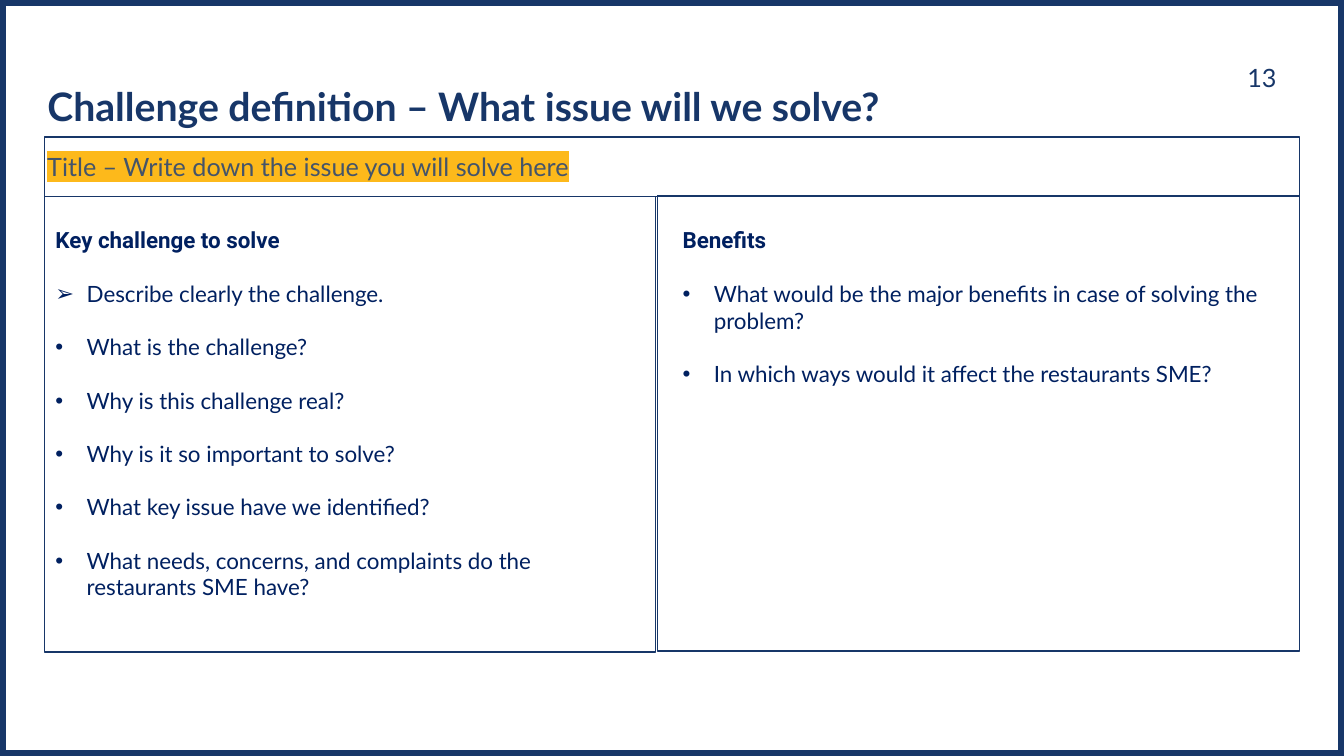
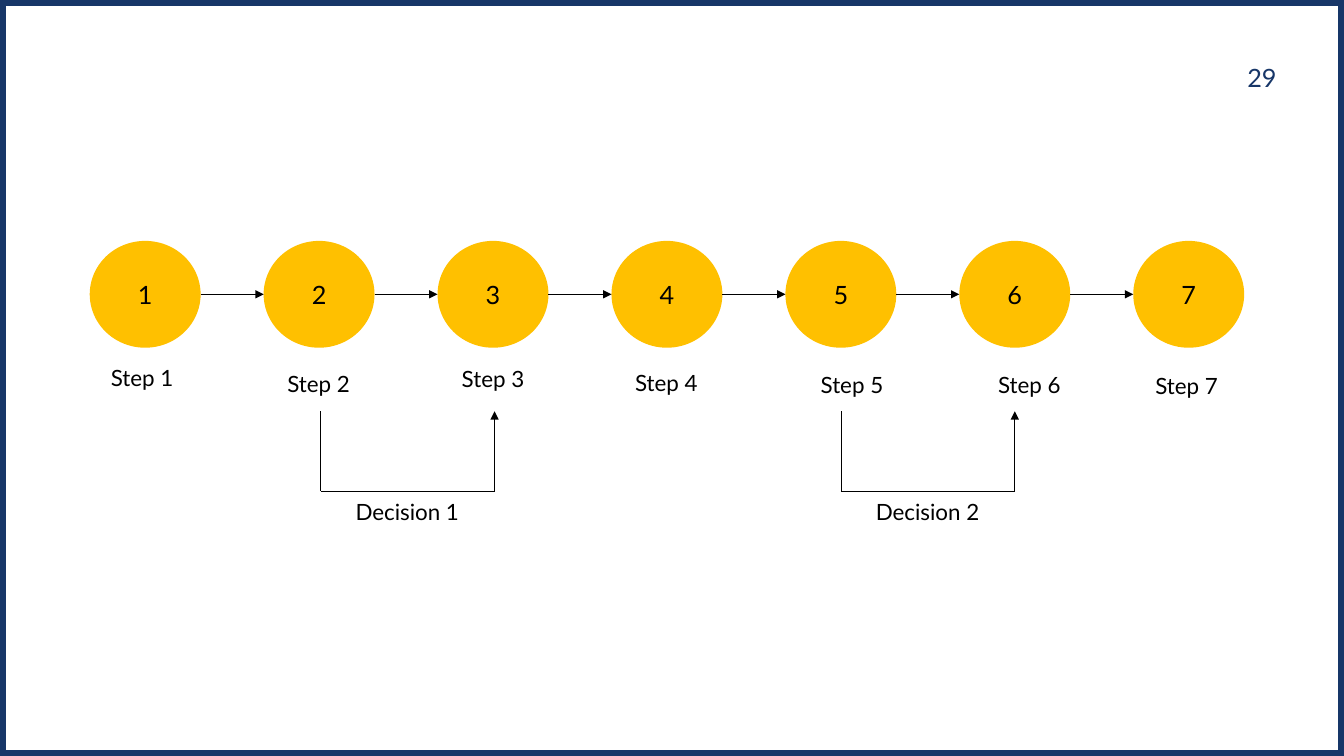
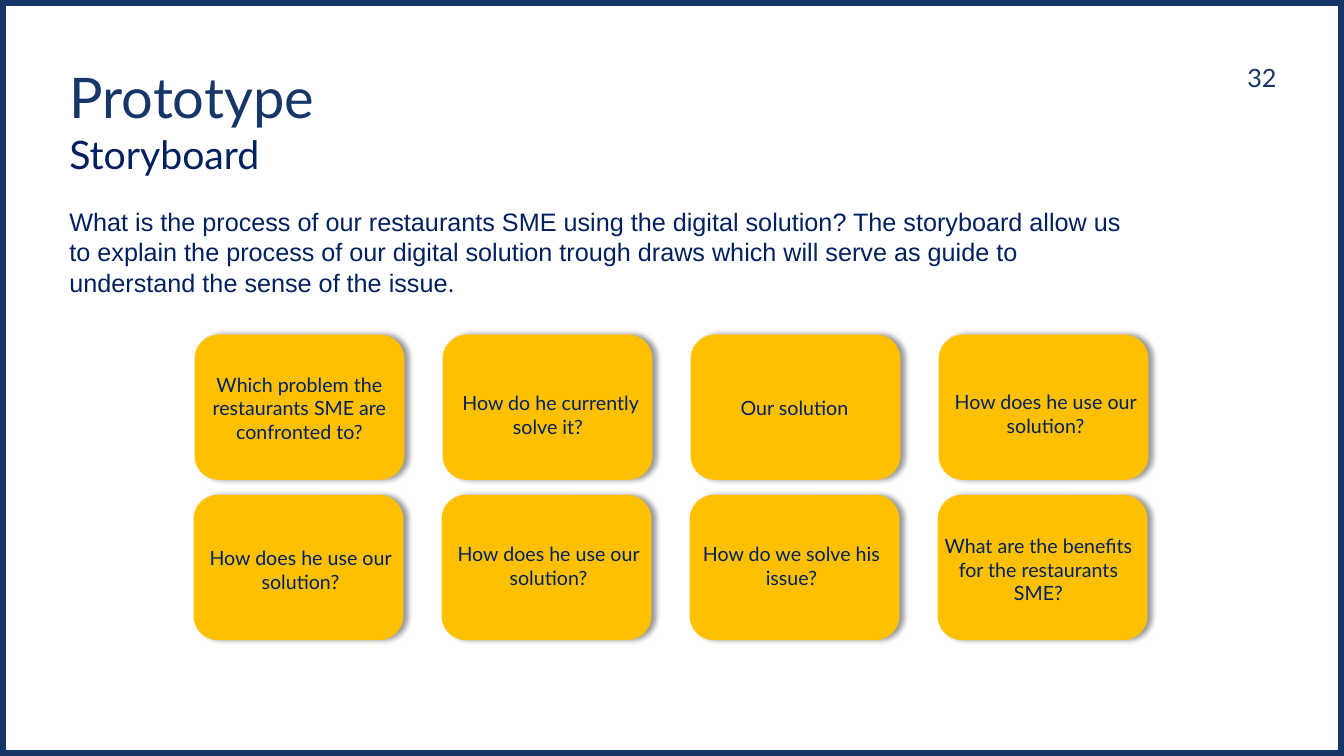
from dataclasses import dataclass
from typing import NamedTuple

from lxml.etree import SubElement
from pptx import Presentation
from pptx.dml.color import RGBColor
from pptx.enum.shapes import MSO_CONNECTOR, MSO_SHAPE
from pptx.enum.text import MSO_ANCHOR, MSO_AUTO_SIZE, PP_ALIGN
from pptx.oxml.ns import qn
from pptx.util import Inches, Pt


@dataclass(frozen=True)
class Theme:
    navy: str = "173668"
    ink: str = "002060"
    slate: str = "44546A"
    gold: str = "FFC000"
    mark: str = "FDB91B"
    black: str = "000000"
    white: str = "FFFFFF"
    sans: str = "Lato"
    head: str = "Roboto"
    plain: str = "Arial"
    huge: int = 40
    large: int = 28
    body: int = 18
    text: int = 16
    small: int = 14
    leading: float = 47.8
    gap: int = 19


THEME = Theme()


class Style(NamedTuple):
    size: int
    color: str
    font: str = THEME.sans
    bold: bool = False
    align: PP_ALIGN = PP_ALIGN.LEFT


class Box(NamedTuple):
    left: float
    top: float
    width: float
    height: float

    def inches(self):
        return [Inches(side) for side in self]


class Label(NamedTuple):
    text: str
    left: float
    top: float
    lines: int = 1


class Column(NamedTuple):
    head: str
    items: list[tuple[str, str]]


PAGE = Box(0, 0, 13.33, 7.5)
CENTER = PP_ALIGN.CENTER
NUMBER = Style(THEME.body, THEME.navy, align=PP_ALIGN.RIGHT)
STEP = Style(THEME.text, THEME.black, align=CENTER)
DIGIT = Style(THEME.body, THEME.black, align=CENTER)
NOTE = Style(THEME.small, THEME.ink, align=CENTER)
HEAD = Style(THEME.text, THEME.ink, THEME.head, True)
ITEM = Style(THEME.text, THEME.ink)

COLUMNS = [
    Column("Key challenge to solve", [
        ("➢", "Describe clearly the challenge."),
        ("•", "What is the challenge?"),
        ("•", "Why is this challenge real?"),
        ("•", "Why is it so important to solve?"),
        ("•", "What key issue have we identified?"),
        ("•", "What needs, concerns, and complaints do the\v"
              "restaurants SME have?"),
    ]),
    Column("Benefits", [
        ("•", "What would be the major benefits in case of solving the problem?"),
        ("•", "In which ways would it affect the restaurants SME?"),
    ]),
]

STEPS = [
    Label("Step 1", 0.4, 3.56),
    Label("Step 2", 2.15, 3.62),
    Label("Step 3", 3.88, 3.57),
    Label("Step 4", 5.6, 3.61),
    Label("Step 5", 7.44, 3.63),
    Label("Step 6", 9.2, 3.63),
    Label("Step 7", 10.76, 3.64),
]
CHOICES = [Label("Decision 1", 3.03, 4.89), Label("Decision 2", 8.19, 4.89)]

SCENES = [
    Label("Which problem the restaurants SME are confronted to?", 1.93, 3.65, 3),
    Label("How do he currently solve it? ", 4.42, 3.83, 2),
    Label("Our solution", 6.84, 3.88),
    Label("How does he use our solution?", 9.33, 3.82, 2),
    Label("How does he use our solution?", 1.94, 5.37, 2),
    Label("How does he use our solution?", 4.4, 5.33, 2),
    Label("How do we solve his issue?", 6.81, 5.33, 2),
    Label("What are the benefits for the restaurants SME?", 9.26, 5.25, 3),
]


def rgb(color: str) -> RGBColor:
    return RGBColor.from_string(color)


def write(par, text: str, style: Style) -> None:
    par.text = text
    par.alignment = style.align
    par.font.size = Pt(style.size)
    par.font.name = style.font
    par.font.bold = style.bold
    par.font.color.rgb = rgb(style.color)


def bullet(par, sign: str) -> None:
    """Give the paragraph a hanging bullet."""
    props = par._p.get_or_add_pPr()
    props.set("marL", str(Inches(0.31)))
    props.set("indent", str(-Inches(0.31)))
    SubElement(props, qn("a:buFont"), typeface=THEME.plain)
    SubElement(props, qn("a:buChar"), char=sign)


def add_text(slide, box: Box, text: str, style: Style):
    frame = slide.shapes.add_textbox(*box.inches()).text_frame
    frame.word_wrap = True
    write(frame.paragraphs[0], text, style)
    return frame


def add_label(slide, label: Label, width: float, style: Style) -> None:
    height = 0.1 + label.lines * style.size / 60
    add_text(slide, Box(label.left, label.top, width, height), label.text, style)


def add_shape(slide, kind: MSO_SHAPE, box: Box, fill: str = "",
              line: str = "", weight: float = 1):
    shape = slide.shapes.add_shape(kind, *box.inches())
    shape.shadow.inherit = False
    if fill:
        shape.fill.solid()
        shape.fill.fore_color.rgb = rgb(fill)
    else:
        shape.fill.background()
    if line:
        shape.line.color.rgb = rgb(line)
        shape.line.width = Pt(weight)
    else:
        shape.line.fill.background()
    return shape


def add_line(slide, start: tuple[float, float], end: tuple[float, float],
             arrow: bool = False) -> None:
    ends = [Inches(side) for side in (*start, *end)]
    link = slide.shapes.add_connector(MSO_CONNECTOR.STRAIGHT, *ends)
    link.line.color.rgb = rgb(THEME.black)
    link.line.width = Pt(0.5)
    if arrow:
        SubElement(link.line._get_or_add_ln(), qn("a:tailEnd"), type="triangle")
    SubElement(link._element.spPr, qn("a:effectLst"))


def cast_shadow(shape) -> None:
    effects = shape._element.spPr.find(qn("a:effectLst"))
    outer = SubElement(effects, qn("a:outerShdw"), blurRad=str(Pt(4)),
                       dist=str(Pt(3)), dir="0", algn="l", rotWithShape="0")
    color = SubElement(outer, qn("a:srgbClr"), val=THEME.black)
    SubElement(color, qn("a:alpha"), val="40000")


def add_page(deck, number: int, titled: bool = True):
    """Add a slide with the shared border and page number."""
    slide = deck.slides.add_slide(deck.slide_layouts[5 if titled else 6])
    add_shape(slide, MSO_SHAPE.RECTANGLE, PAGE, line=THEME.navy, weight=8)
    add_text(slide, Box(9.76, 0.57, 3, 0.4), str(number), NUMBER)
    return slide


def set_title(slide, box: Box, text: str, style: Style) -> None:
    title = slide.shapes.title
    title.left, title.top, title.width, title.height = box.inches()
    frame = title.text_frame
    frame.auto_size = MSO_AUTO_SIZE.NONE
    frame.vertical_anchor = MSO_ANCHOR.TOP
    write(frame.paragraphs[0], text, style)
    frame.paragraphs[0].line_spacing = Pt(THEME.leading)


def fill_cell(cell, column: Column) -> None:
    cell.fill.solid()
    cell.fill.fore_color.rgb = rgb(THEME.white)
    cell.margin_top = Inches(0.31)
    frame = cell.text_frame
    write(frame.paragraphs[0], column.head, HEAD)
    for sign, text in column.items:
        par = frame.add_paragraph()
        bullet(par, sign)
        par.space_before = Pt(THEME.gap)
        write(par, text, ITEM)


def add_challenge(deck) -> None:
    slide = add_page(deck, 13)
    set_title(slide, Box(0.37, 0.57, 9.94, 0.7),
              "Challenge definition – What issue will we solve?",
              Style(THEME.large, THEME.navy, bold=True))

    grid = Box(0.45, 1.95, 12.44, 4.33)
    table = slide.shapes.add_table(1, len(COLUMNS), *grid.inches()).table
    table.first_row = table.horz_banding = False
    for cell, column in zip(table.rows[0].cells, COLUMNS):
        fill_cell(cell, column)

    frame = add_text(slide, Box(0.37, 1.45, 8.12, 0.4),
                     "Title – Write down the issue you will solve here",
                     Style(THEME.body, THEME.slate))
    props = frame.paragraphs[0].runs[0]._r.get_or_add_rPr()
    SubElement(SubElement(props, qn("a:highlight")), qn("a:srgbClr"),
               val=THEME.mark)

    for box in (Box(0.44, 1.36, 12.45, 0.59), Box(0.44, 1.95, 6.06, 4.52),
                Box(6.52, 1.94, 6.37, 4.52)):
        add_shape(slide, MSO_SHAPE.RECTANGLE, box, line=THEME.navy)


def add_steps(deck) -> None:
    slide = add_page(deck, 29, titled=False)
    left, top, width, height, pitch = 0.89, 2.39, 1.1, 1.06, 1.725
    middle = top + height / 2
    for index, step in enumerate(STEPS):
        start = left + index * pitch
        disc = add_shape(slide, MSO_SHAPE.OVAL, Box(start, top, width, height),
                         THEME.gold)
        disc.text_frame.vertical_anchor = MSO_ANCHOR.MIDDLE
        write(disc.text_frame.paragraphs[0], str(index + 1), DIGIT)
        add_label(slide, step, 2.02, STEP)
        if index:
            add_line(slide, (start - pitch + width, middle), (start, middle), True)

    high, low = 4.08, 4.87
    for choice in CHOICES:
        near = choice.left + 0.15
        far = near + pitch
        add_line(slide, (near, high), (near, low))
        add_line(slide, (near, low), (far, low))
        add_line(slide, (far, low), (far, high), True)
        add_label(slide, choice, 2.02, STEP)


def add_story(deck) -> None:
    slide = add_page(deck, 32)
    set_title(slide, Box(0.59, 0.57, 7.87, 0.77), "Prototype",
              Style(THEME.huge, THEME.navy))
    frame = add_text(slide, Box(0.59, 1.24, 10.65, 1.75), "Storyboard",
                     Style(THEME.large, THEME.ink))
    par = frame.add_paragraph()
    par.space_before = Pt(21)
    write(par, "What is the process of our restaurants SME using the digital "
               "solution? The storyboard allow us to explain the process of our "
               "digital solution trough draws which will serve as guide to "
               "understand the sense of the issue.",
          Style(THEME.body, THEME.ink, THEME.plain))

    width = 2.08
    for index, scene in enumerate(SCENES):
        row, col = divmod(index, 4)
        box = Box(1.93 - 0.01 * row + 2.46 * col, 3.32 + 1.59 * row, width, 1.44)
        card = add_shape(slide, MSO_SHAPE.ROUNDED_RECTANGLE, box, THEME.gold)
        cast_shadow(card)
        add_label(slide, scene, width, NOTE)


def main() -> None:
    deck = Presentation()
    deck.slide_width = Inches(PAGE.width)
    deck.slide_height = Inches(PAGE.height)
    add_challenge(deck)
    add_steps(deck)
    add_story(deck)
    deck.save("out.pptx")


if __name__ == "__main__":
    main()
